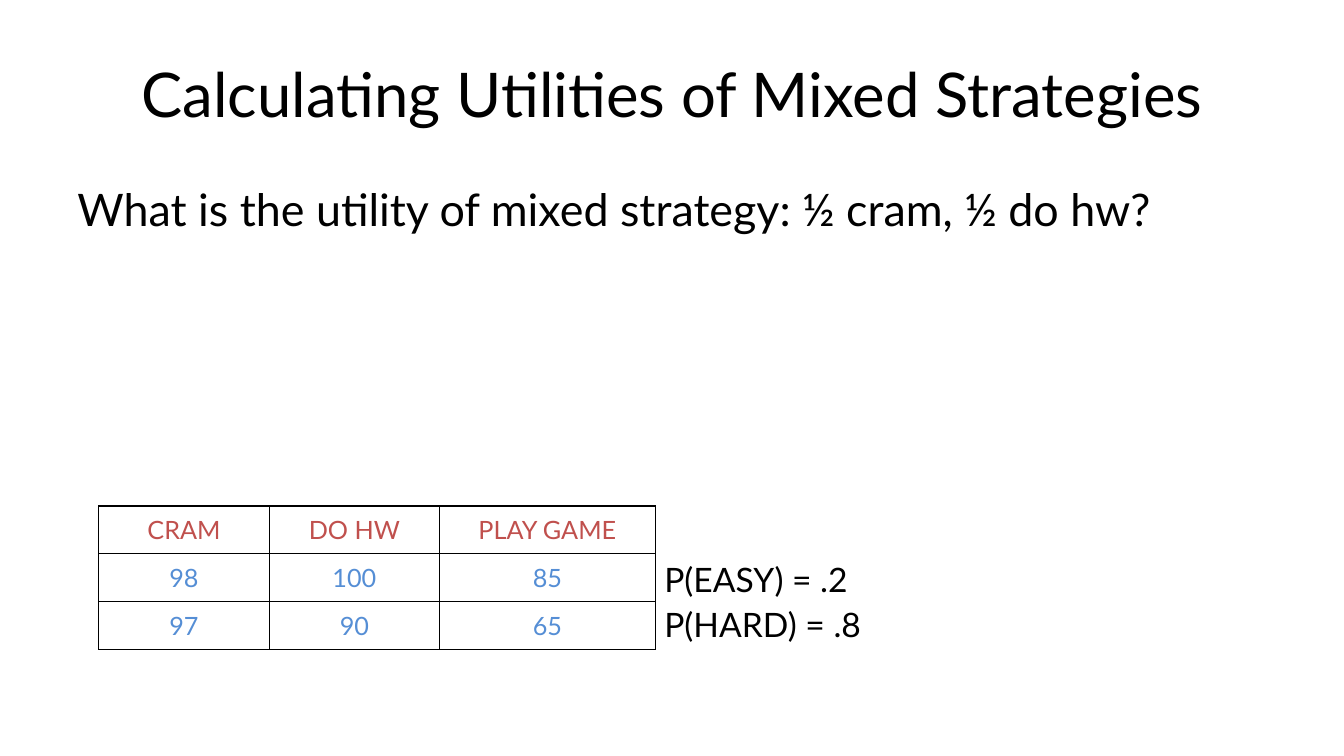
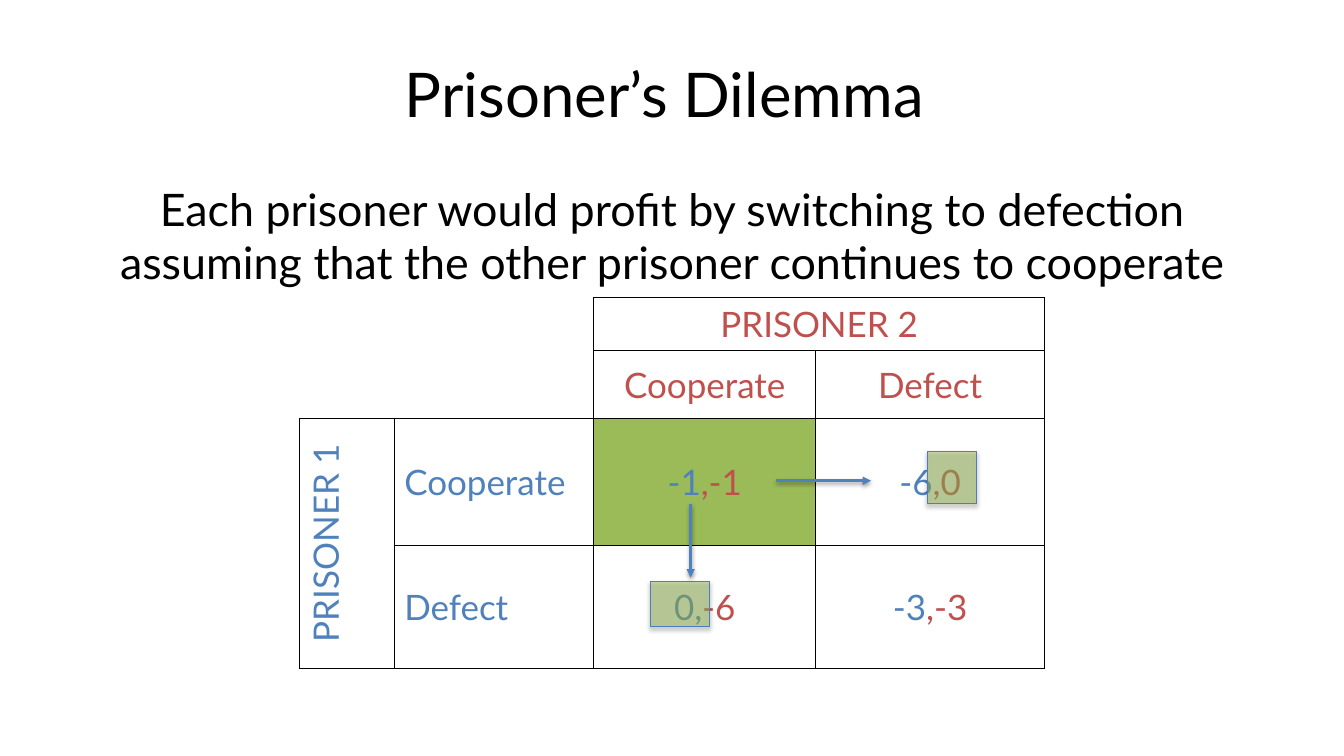
from dataclasses import dataclass
from typing import NamedTuple

import pptx
import pptx.dml.color
import pptx.enum.shapes
import pptx.enum.text
import pptx.oxml
import pptx.oxml.ns
import pptx.util
from pptx.util import Inches

ALIGN = pptx.enum.text.PP_ALIGN
MIDDLE = pptx.enum.text.MSO_ANCHOR.MIDDLE
NAMESPACE = pptx.oxml.ns.nsdecls("a")
qn = pptx.oxml.ns.qn


# Theme
@dataclass(frozen=True)
class Theme:
    font: str = "Lato"
    text: str = "000000"
    red: str = "C0504D"
    blue: str = "4F81BD"
    light_blue: str = "558ED5"
    green: str = "9BBB59"
    outline: str = "4B7EBC"
    title_size: int = 44
    body_size: int = 32
    matrix_size: int = 25
    note_size: int = 24
    table_size: int = 18
    plain_table_style: str = "{2D5ABB26-0587-4C30-8999-92F81FD0307C}"


THEME = Theme()


class Box(NamedTuple):
    left: float
    top: float
    width: float
    height: float

    def lengths(self) -> list:
        return [Inches(value) for value in self]


class Piece(NamedTuple):
    text: str
    color: str


class CellContent(NamedTuple):
    row: int
    column: int
    pieces: tuple
    align: ALIGN = ALIGN.CENTER
    fill: str = ""
    rows: int = 1
    columns: int = 1
    vertical: bool = False


class Arrow(NamedTuple):
    start_x: float
    start_y: float
    end_x: float
    end_y: float


TITLE_BOX = Box(0.67, 0.3, 12, 1.25)
BODY_BOX = Box(0.67, 1.75, 12, 4.95)


# Text and effects
def rgb(color: str) -> pptx.dml.color.RGBColor:
    return pptx.dml.color.RGBColor.from_string(color)


def format_run(run, size: float, color: str) -> None:
    run.font.name = THEME.font
    run.font.size = pptx.util.Pt(size)
    run.font.color.rgb = rgb(color)


def write_line(text_frame, text: str, size: float, align: ALIGN) -> None:
    text_frame.text = text
    paragraph = text_frame.paragraphs[0]
    paragraph.alignment = align
    format_run(paragraph.runs[0], size, THEME.text)


def add_text(slide, text: str, box: Box, size: float,
             align: ALIGN = ALIGN.LEFT, wrap: bool = True) -> None:
    text_frame = slide.shapes.add_textbox(*box.lengths()).text_frame
    text_frame.word_wrap = wrap
    write_line(text_frame, text, size, align)


def add_shadow(shape, distance: float, opacity: int) -> None:
    shape.element.spPr.append(pptx.oxml.parse_xml(
        f'<a:effectLst {NAMESPACE}><a:outerShdw blurRad="{pptx.util.Pt(3.1)}" '
        f'dist="{pptx.util.Pt(distance)}" dir="5400000" rotWithShape="0">'
        f'<a:srgbClr val="000000"><a:alpha val="{opacity * 1000}"/></a:srgbClr>'
        '</a:outerShdw></a:effectLst>'))


# Slide parts
def add_titled_slide(presentation, title: str):
    slide = presentation.slides.add_slide(presentation.slide_layouts[5])
    shape = slide.shapes.title
    shape.left, shape.top, shape.width, shape.height = TITLE_BOX.lengths()
    shape.text_frame.vertical_anchor = MIDDLE
    write_line(shape.text_frame, title, THEME.title_size, ALIGN.CENTER)
    return slide


def add_borders(cell) -> None:
    properties = cell._tc.get_or_add_tcPr()
    for index, edge in enumerate(("lnL", "lnR", "lnT", "lnB")):
        properties.insert(index, pptx.oxml.parse_xml(
            f'<a:{edge} {NAMESPACE} w="{pptx.util.Pt(1)}"><a:solidFill>'
            f'<a:srgbClr val="{THEME.text}"/></a:solidFill></a:{edge}>'))


def fill_cell(table, content: CellContent, size: float) -> None:
    cell = table.cell(content.row, content.column)
    last_row = content.row + content.rows
    last_column = content.column + content.columns
    if content.rows * content.columns > 1:
        cell.merge(table.cell(last_row - 1, last_column - 1))
    cell.vertical_anchor = MIDDLE
    if content.vertical:
        cell._tc.get_or_add_tcPr().set("vert", "vert270")
    paragraph = cell.text_frame.paragraphs[0]
    paragraph.alignment = content.align
    for piece in content.pieces:
        run = paragraph.add_run()
        run.text = piece.text
        format_run(run, size, piece.color)
    if content.fill:
        cell.fill.solid()
        cell.fill.fore_color.rgb = rgb(content.fill)
    for row in range(content.row, last_row):
        for column in range(content.column, last_column):
            add_borders(table.cell(row, column))


def add_grid(slide, left: float, top: float, widths: list, heights: list,
             contents: list, size: float):
    box = Box(left, top, sum(widths), sum(heights))
    frame = slide.shapes.add_table(len(heights), len(widths), *box.lengths())
    table = frame.table
    table.first_row = table.horz_banding = False
    next(frame.element.iter(qn("a:tableStyleId"))).text = THEME.plain_table_style
    for column, width in zip(table.columns, widths):
        column.width = Inches(width)
    for row, height in zip(table.rows, heights):
        row.height = Inches(height)
    for cell in table.iter_cells():
        cell.fill.background()
    for content in contents:
        fill_cell(table, content, size)
    return table


def add_highlight(slide, box: Box) -> None:
    shape = slide.shapes.add_shape(
        pptx.enum.shapes.MSO_SHAPE.RECTANGLE, *box.lengths())
    shape.fill.solid()
    shape.fill.fore_color.rgb = rgb(THEME.green)
    color = shape.element.spPr.find(qn("a:solidFill")).find(qn("a:srgbClr"))
    color.append(pptx.oxml.parse_xml(f'<a:alpha {NAMESPACE} val="51000"/>'))
    shape.line.color.rgb = rgb(THEME.outline)
    shape.line.width = pptx.util.Pt(0.75)
    add_shadow(shape, 1.8, 35)


def add_arrow(slide, arrow: Arrow) -> None:
    connector = slide.shapes.add_connector(
        pptx.enum.shapes.MSO_CONNECTOR.STRAIGHT,
        *[Inches(value) for value in arrow])
    connector.line.color.rgb = rgb(THEME.blue)
    connector.line.width = pptx.util.Pt(2)
    connector.element.spPr.find(qn("a:ln")).append(
        pptx.oxml.parse_xml(f'<a:tailEnd {NAMESPACE} type="triangle"/>'))
    add_shadow(connector, 1.6, 38)


# Slides
def build_utilities(presentation) -> None:
    slide = add_titled_slide(presentation, "Calculating Utilities of Mixed Strategies")
    add_text(slide, "What is the utility of mixed strategy: ½ cram, ½ do hw?",
             BODY_BOX, THEME.body_size)
    rows = [("CRAM", "DO HW", "PLAY GAME"), ("98", "100", "85"), ("97", "90", "65")]
    contents = [
        CellContent(row, column,
                    (Piece(text, THEME.light_blue if row else THEME.red),))
        for row, texts in enumerate(rows) for column, text in enumerate(texts)]
    add_grid(slide, 0.98, 5.02, [1.69, 1.69, 2.14], [0.475] * 3,
             contents, THEME.table_size)
    for index, text in enumerate(("P(EASY) = .2", "P(HARD) = .8")):
        add_text(slide, text, Box(6.49, 5.5 + 0.44 * index, 2.18, 0.5),
                 THEME.note_size, wrap=False)


def build_dilemma(presentation) -> None:
    slide = add_titled_slide(presentation, "Prisoner’s Dilemma ")
    red, blue = THEME.red, THEME.blue
    contents = [
        CellContent(0, 2, (Piece("PRISONER 2", red),), columns=2),
        CellContent(2, 0, (Piece("PRISONER 1", blue),), rows=2, vertical=True),
    ]
    for index, choice in enumerate(("Cooperate", "Defect")):
        contents.append(CellContent(1, 2 + index, (Piece(choice, red),)))
        contents.append(
            CellContent(2 + index, 1, (Piece(choice, blue),), ALIGN.LEFT))
    payoffs = [[("-1", ",-1"), ("-6", ",0")], [("0,", "-6"), ("-3", ",-3")]]
    for row, pairs in enumerate(payoffs, start=2):
        for column, (first, second) in enumerate(pairs, start=2):
            fill = THEME.green if row == column == 2 else ""
            contents.append(CellContent(
                row, column, (Piece(first, blue), Piece(second, red)), fill=fill))
    table = add_grid(slide, 2.97, 2.95, [0.94, 1.98, 2.2, 2.27],
                     [0.53, 0.67, 1.26, 1.22], contents, THEME.matrix_size)
    table.cell(0, 0).merge(table.cell(1, 1))
    add_text(slide, "Each prisoner would profit by switching to defection "
             "assuming that the other prisoner continues to cooperate",
             BODY_BOX, THEME.body_size, ALIGN.CENTER)

    # Gains from switching to defection
    add_highlight(slide, Box(6.45, 5.77, 0.59, 0.45))
    for arrow in (Arrow(7.7, 4.77, 8.64, 4.77), Arrow(6.85, 5, 6.85, 5.73)):
        add_arrow(slide, arrow)
    add_highlight(slide, Box(9.2, 4.48, 0.49, 0.52))


def main() -> None:
    presentation = pptx.Presentation()
    presentation.slide_width = Inches(13.33)
    presentation.slide_height = Inches(7.5)
    build_utilities(presentation)
    build_dilemma(presentation)
    presentation.save("out.pptx")


if __name__ == "__main__":
    main()
